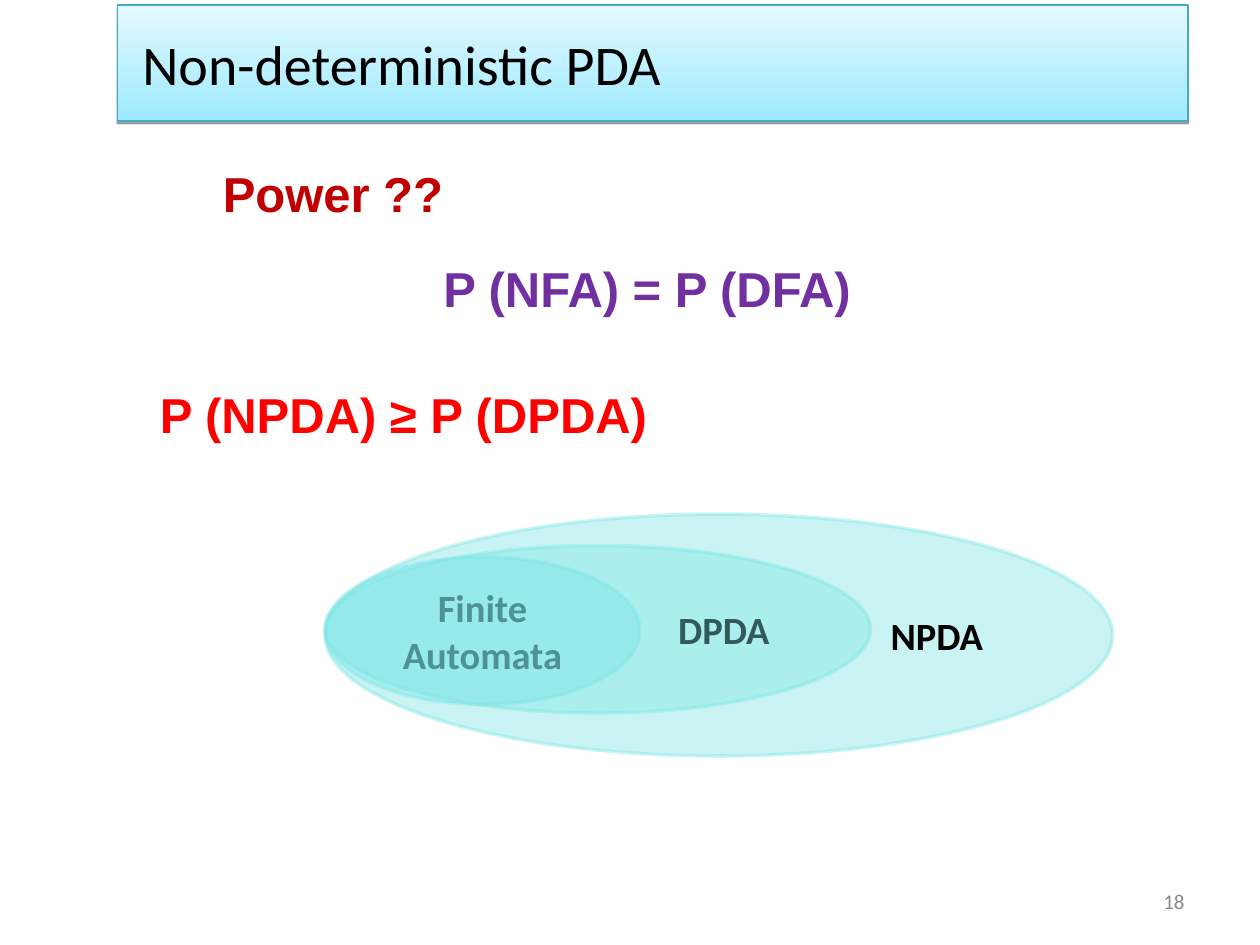
from lxml import etree
from pptx import Presentation
from pptx.dml.color import RGBColor
from pptx.enum.shapes import MSO_SHAPE
from pptx.enum.text import MSO_ANCHOR, MSO_AUTO_SIZE, PP_ALIGN
from pptx.oxml import parse_xml
from pptx.oxml.ns import nsdecls, qn
from pptx.util import Inches, Pt

ELLIPSE = MSO_SHAPE.OVAL
MIDDLE, TOP = MSO_ANCHOR.MIDDLE, MSO_ANCHOR.TOP
LEFT, CENTER, RIGHT = PP_ALIGN.LEFT, PP_ALIGN.CENTER, PP_ALIGN.RIGHT
NO_FIT = MSO_AUTO_SIZE.NONE
TITLE_ONLY = 5

COLORS = {
    "ink": "000000",
    "banner_low": "9EEAFF",
    "banner_high": "E4F9FF",
    "banner_edge": "46AAC5",
    "question": "C00000",
    "equal": "7030A0",
    "stronger": "FF0000",
    "set": "7BE5E5",
    "number": "898989",
}
BANNER_TEXT = {"name": "Calibri", "size": Pt(32), "bold": False}
CLAIM_TEXT = {"name": "Arial", "size": Pt(28), "bold": True}
SET_TEXT = {"name": "Calibri", "size": Pt(22), "bold": True}
NUMBER_TEXT = {"name": "Calibri", "size": Pt(12), "bold": False}

CLAIMS = [
    ("Power ??", "question", 1.67, 1.25, 2.58),
    ("P (NFA) = P (DFA)", "equal", 3.42, 2, 3.75),
    ("P (NPDA) ≥ P (DPDA)", "stronger", 1.17, 3, 4.5),
]
SETS_LEFT = 2.58
SETS = [
    ("Finite Automata", 4.42, 2.5, 1.17, 0),
    ("DPDA", 4.33, 4.33, 1.33, 1),
    ("NPDA", 4.08, 6.25, 1.92, 1.73),
]
SET_OPACITY = 40


def color(key):
    return RGBColor.from_string(COLORS[key])


def write(holder, text, font_values, color_key, align=LEFT, anchor=MIDDLE,
          left_inset=0.1, right_inset=0.1):
    frame = holder.text_frame
    frame_values = {
        "text": text,
        "word_wrap": True,
        "auto_size": NO_FIT,
        "vertical_anchor": anchor,
        "margin_left": Inches(left_inset),
        "margin_right": Inches(right_inset),
        "margin_top": Inches(0.05),
        "margin_bottom": Inches(0.05),
    }
    for key, value in frame_values.items():
        setattr(frame, key, value)
    paragraph = frame.paragraphs[0]
    paragraph.alignment = align
    font = paragraph.runs[0].font
    for key, value in font_values.items():
        setattr(font, key, value)
    font.color.rgb = color(color_key)


def place(holder, left, top, width, height):
    position = {"left": left, "top": top, "width": width, "height": height}
    for key, value in position.items():
        setattr(holder, key, Inches(value))


def add_banner(slide, text):
    banner = slide.shapes.title
    place(banner, 0.93, 0.04, 8.5, 0.92)
    banner.fill.gradient()
    banner.fill.gradient_angle = 90
    for stop, key, position in zip(banner.fill.gradient_stops,
                                   ("banner_low", "banner_high"), (0, 1)):
        stop.color.rgb = color(key)
        stop.position = position
    banner.line.color.rgb = color("banner_edge")
    banner.line.width = Pt(0.75)
    banner._element.spPr.append(parse_xml(
        f'<a:effectLst {nsdecls("a")}>'
        f'<a:outerShdw blurRad="0" dist="{Pt(1.6)}" dir="5400000" rotWithShape="0">'
        f'<a:srgbClr val="{COLORS["ink"]}"><a:alpha val="38000"/></a:srgbClr>'
        '</a:outerShdw></a:effectLst>'))
    write(banner, text, BANNER_TEXT, "ink", left_inset=0.2)


def add_label(slide, text, font_values, color_key, box, **layout):
    label = slide.shapes.add_textbox(*map(Inches, box))
    write(label, text, font_values, color_key, **layout)


def add_set(slide, text, top, width, height, shift):
    ellipse = slide.shapes.add_shape(
        ELLIPSE, *map(Inches, (SETS_LEFT, top, width, height)))
    ellipse.shadow.inherit = False
    ellipse.fill.solid()
    ellipse.fill.fore_color.rgb = color("set")
    ellipse.line.color.rgb = color("set")
    ellipse.line.width = Pt(2)
    for tint in ellipse._element.spPr.iter(qn("a:srgbClr")):
        etree.SubElement(tint, qn("a:alpha"), val=str(SET_OPACITY * 1000))
    right_inset = 0 if shift else 0.1
    write(ellipse, text, SET_TEXT, "ink", CENTER,
          left_inset=right_inset + 2 * shift, right_inset=right_inset)


def main():
    deck = Presentation()
    deck.slide_width, deck.slide_height = Inches(10), Inches(7.5)
    slide = deck.slides.add_slide(deck.slide_layouts[TITLE_ONLY])
    add_label(slide, "18", NUMBER_TEXT, "number", (7.17, 6.95, 2.33, 0.4),
              align=RIGHT)
    add_banner(slide, "Non-deterministic PDA")
    for text, color_key, left, top, width in CLAIMS:
        add_label(slide, text, CLAIM_TEXT, color_key, (left, top, width, 0.57),
                  anchor=TOP)
    for automaton in SETS:
        add_set(slide, *automaton)
    deck.save("out.pptx")


if __name__ == "__main__":
    main()
